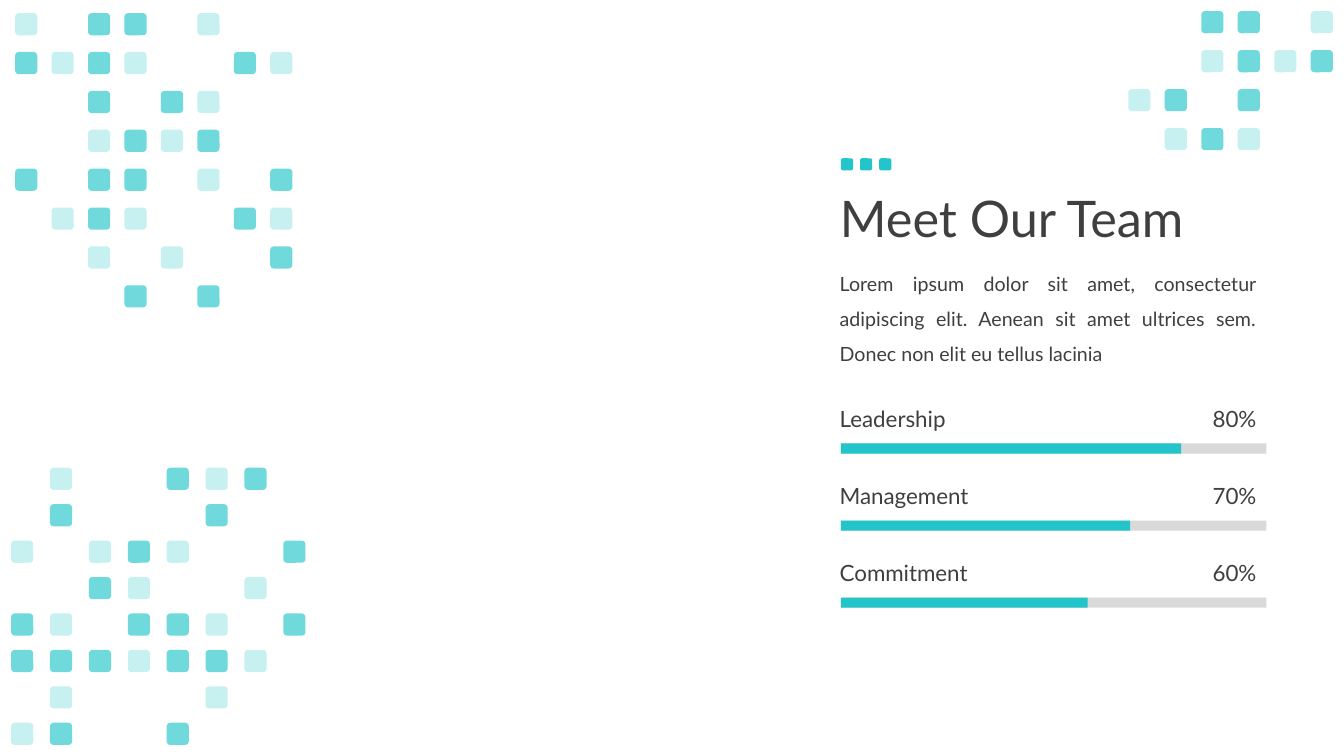
from collections import namedtuple

from lxml.etree import SubElement
from pptx import Presentation
from pptx.dml.color import RGBColor
from pptx.enum.shapes import MSO_SHAPE
from pptx.enum.text import MSO_ANCHOR, MSO_AUTO_SIZE, PP_ALIGN
from pptx.oxml.ns import qn
from pptx.util import Inches, Pt

TEAL = RGBColor(0x23, 0xC5, 0xCA)
TRACK_GREY = RGBColor(0xD9, 0xD9, 0xD9)
DARK_GREY = RGBColor(0x3F, 0x3F, 0x3F)
FONT = "Lato"

Box = namedtuple("Box", "left top width height")

OPACITY = {"l": 25, "d": 65}
TILE = 0.22
TOP_LEFT = ["l.dd.l..", "dldl..dl", "..d.dl..", "..ldld..",
            "d.dd.l.d", ".ldl..dl", "..l.l..d", "...d.d.."]
BOTTOM_LEFT = [".l..dld.", ".d...d..", "l.ldl..d", "..dl..l.",
               "dl.ddl.d", "dddlddl.", ".l...l..", "ld..d..."]
TOP_RIGHT = ["..dd.l", "..ldld", "ld.d..", ".ldl.."]

BLURB = ("Lorem ipsum dolor sit amet, consectetur adipiscing elit. "
         "Aenean sit amet ultrices sem. Donec non elit eu tellus lacinia")
SKILLS = [("Leadership", "80%", 0.8), ("Management", "70%", 0.68),
          ("Commitment", "60%", 0.58)]


def place(box):
    return [Inches(length) for length in box]


def add_block(shapes, kind, box, color, opacity=100):
    block = shapes.add_shape(kind, *place(box))
    block.shadow.inherit = False
    block.fill.solid()
    block.fill.fore_color.rgb = color
    block.line.fill.background()
    if opacity < 100:
        tint = block.fill._xPr.find(qn("a:solidFill")).find(qn("a:srgbClr"))
        SubElement(tint, qn("a:alpha"), val=str(opacity * 1000))


def write(frame, text, size, align=PP_ALIGN.LEFT, spacing=None,
          anchor=MSO_ANCHOR.MIDDLE):
    frame.word_wrap = True
    frame.auto_size = MSO_AUTO_SIZE.NONE
    frame.vertical_anchor = anchor
    frame.text = text
    paragraph = frame.paragraphs[0]
    paragraph.alignment = align
    paragraph.line_spacing = spacing
    paragraph.font.name = FONT
    paragraph.font.size = Pt(size)
    paragraph.font.color.rgb = DARK_GREY


def add_mosaic(slide, box, pattern):
    column_step = (box.width - TILE) / (len(pattern[0]) - 1)
    row_step = (box.height - TILE) / (len(pattern) - 1)
    mosaic = slide.shapes.add_group_shape()
    for row, marks in enumerate(pattern):
        for column, mark in enumerate(marks):
            if mark in OPACITY:
                tile = Box(box.left + column * column_step,
                           box.top + row * row_step, TILE, TILE)
                add_block(mosaic.shapes, MSO_SHAPE.ROUNDED_RECTANGLE,
                          tile, TEAL, OPACITY[mark])


def add_accent(slide, box):
    accent = slide.shapes.add_group_shape()
    step = (box.width - box.height) / 2
    for index in range(3):
        dot = Box(box.left + index * step, box.top, box.height, box.height)
        add_block(accent.shapes, MSO_SHAPE.ROUNDED_RECTANGLE, dot, TEAL)


def add_heading(slide, box):
    heading = slide.shapes.title
    heading.left, heading.top, heading.width, heading.height = place(box)
    write(heading.text_frame, "Meet Our Team", 36, spacing=0.9)


def add_blurb(slide, box):
    blurb = slide.shapes.add_textbox(*place(box))
    write(blurb.text_frame, BLURB, 14, PP_ALIGN.JUSTIFY, 1.5, MSO_ANCHOR.TOP)


def add_skills(slide, box):
    label_height, bar_height, inset = 0.37, 0.1, 0.11
    bar_drop = 0.43
    row_step = (box.height - bar_drop - bar_height) / (len(SKILLS) - 1)
    label_width, score_width = 2.07, 1.06
    bar_width = box.width - inset
    for row, (skill, score, share) in enumerate(SKILLS):
        top = box.top + row * row_step
        label = slide.shapes.add_textbox(
            *place(Box(box.left, top, label_width, label_height)))
        write(label.text_frame, skill, 16)
        value = slide.shapes.add_textbox(
            *place(Box(box.left + box.width - score_width, top,
                       score_width, label_height)))
        write(value.text_frame, score, 16, PP_ALIGN.RIGHT)
        track = Box(box.left + inset, top + bar_drop, bar_width, bar_height)
        add_block(slide.shapes, MSO_SHAPE.RECTANGLE, track, TRACK_GREY)
        add_block(slide.shapes, MSO_SHAPE.RECTANGLE,
                  track._replace(width=bar_width * share), TEAL)


def main():
    presentation = Presentation()
    presentation.slide_width = Inches(13.33)
    presentation.slide_height = Inches(7.5)
    slide = presentation.slides.add_slide(presentation.slide_layouts[5])
    add_mosaic(slide, Box(0.15, 0.13, 2.75, 2.92), TOP_LEFT)
    add_mosaic(slide, Box(0.11, 4.64, 2.92, 2.75), BOTTOM_LEFT)
    add_heading(slide, Box(8.23, 1.47, 4.33, 1.45))
    add_blurb(slide, Box(8.23, 2.53, 4.33, 1.11))
    add_skills(slide, Box(8.23, 3.97, 4.33, 2.06))
    add_mosaic(slide, Box(11.19, 0.11, 2.03, 1.38), TOP_RIGHT)
    add_accent(slide, Box(8.34, 1.57, 0.5, 0.12))
    presentation.save("out.pptx")


if __name__ == "__main__":
    main()
